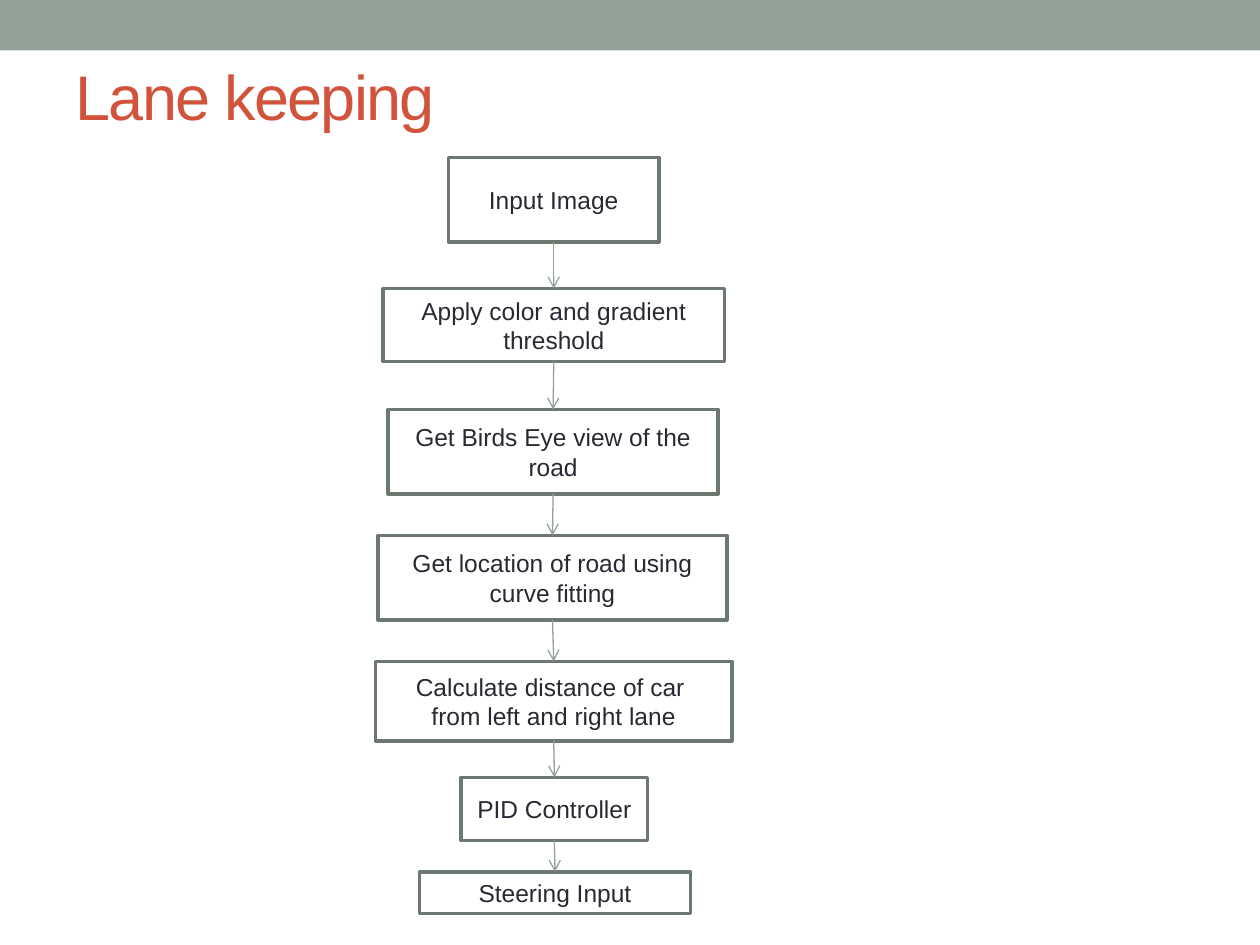
from itertools import pairwise

from lxml import etree
from pptx import Presentation
from pptx.dml.color import RGBColor
from pptx.enum.shapes import MSO_CONNECTOR, MSO_SHAPE
from pptx.enum.text import MSO_ANCHOR, PP_ALIGN
from pptx.oxml.ns import qn
from pptx.util import Inches, Pt

RECT = MSO_SHAPE.RECTANGLE
STRAIGHT = MSO_CONNECTOR.STRAIGHT
MIDDLE = MSO_ANCHOR.MIDDLE
LEFT, CENTER = PP_ALIGN.LEFT, PP_ALIGN.CENTER

COLORS = {
    "sage": "93A299",
    "border": "6D7871",
    "title": "D2533C",
    "text": "292934",
}
STEPS = [  # text, left, top, width, height
    ("Input Image", 3.56, 1.25, 1.67, 0.67),
    ("Apply color and gradient threshold", 3.04, 2.29, 2.71, 0.58),
    ("Get Birds Eye view of the road", 3.08, 3.25, 2.62, 0.67),
    ("Get location of road using curve fitting", 3, 4.25, 2.77, 0.67),
    ("Calculate distance of car  from left and right lane", 2.98, 5.25, 2.83, 0.63),
    ("PID Controller", 3.66, 6.17, 1.48, 0.5),
    ("Steering Input", 3.33, 6.92, 2.15, 0.33),
]


def rgb(name):
    return RGBColor.from_string(COLORS[name])


def write(sp, text, size, color, align):
    """Put one formatted line of text into a shape and return its run."""
    tf = sp.text_frame
    tf.word_wrap = True
    tf.vertical_anchor = MIDDLE
    p = tf.paragraphs[0]
    p.alignment = align
    r = p.add_run()
    r.text = text
    r.font.name = "Arial"
    r.font.size = Pt(size)
    r.font.color.rgb = rgb(color)
    return r


prs = Presentation()
prs.slide_width, prs.slide_height = Inches(10), Inches(7.5)
s = prs.slides.add_slide(prs.slide_layouts[5])

# Title and top band
title = s.shapes.title
title.left, title.top = Inches(0.5), Inches(0.42)
title.width, title.height = Inches(9), Inches(0.67)
r = write(title, "Lane keeping", size=36, color="title", align=LEFT)
r.font._element.set("spc", "-100")

band = s.shapes.add_shape(RECT, 0, 0, prs.slide_width, Inches(0.4))
band.shadow.inherit = False
band.fill.solid()
band.fill.fore_color.rgb = rgb("sage")
band.line.fill.background()

# Flowchart steps
boxes = []
for text, *place in STEPS:
    sp = s.shapes.add_shape(RECT, *map(Inches, place))
    sp.shadow.inherit = False
    sp.fill.background()
    sp.line.color.rgb = rgb("border")
    sp.line.width = Pt(2.08)
    write(sp, text, size=14, color="text", align=CENTER)
    boxes.append(sp)

# Arrows from the bottom centre of each step to the top centre of the next
for upper, lower in pairwise(boxes):
    arrow = s.shapes.add_connector(STRAIGHT, 0, 0, 0, 0)
    arrow.begin_connect(upper, 2)
    arrow.end_connect(lower, 0)
    arrow.line.color.rgb = rgb("sage")
    arrow.line.width = Pt(0.75)
    etree.SubElement(arrow.line._get_or_add_ln(), qn("a:tailEnd"), type="arrow")
    etree.SubElement(arrow._element.spPr, qn("a:effectLst"))

prs.save("out.pptx")
